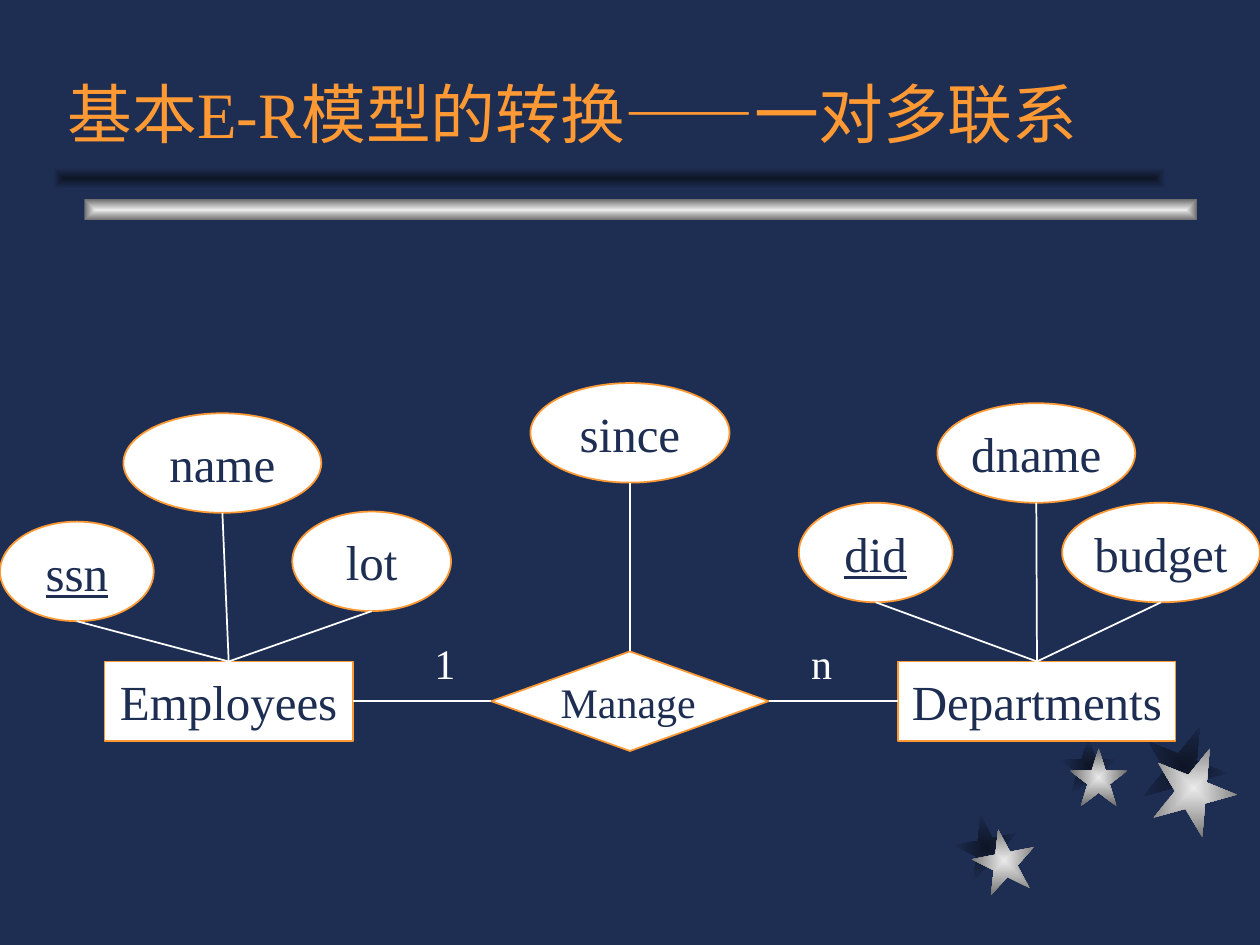
from lxml import etree
from pptx import Presentation
from pptx.dml.color import RGBColor
from pptx.enum.shapes import MSO_CONNECTOR, MSO_SHAPE
from pptx.enum.text import MSO_ANCHOR, PP_ALIGN
from pptx.oxml import parse_xml
from pptx.oxml.ns import nsdecls, qn
from pptx.util import Inches, Pt

RECT, OVAL = MSO_SHAPE.RECTANGLE, MSO_SHAPE.OVAL
DIAMOND, STAR = MSO_SHAPE.FLOWCHART_DECISION, MSO_SHAPE.STAR_5_POINT
STRAIGHT = MSO_CONNECTOR.STRAIGHT
LEFT, CENTER = PP_ALIGN.LEFT, PP_ALIGN.CENTER
MIDDLE, TOP, BOTTOM = MSO_ANCHOR.MIDDLE, MSO_ANCHOR.TOP, MSO_ANCHOR.BOTTOM
SITE_TOP, SITE_LEFT, SITE_RIGHT = 0, 1, 3

COLORS = {"navy": "1E2E53", "shade": "0E1526", "silver": "EAEAEA",
          "gray": "6C6C6C", "orange": "FF9933", "white": "FFFFFF"}
METAL, SHADOW = ("silver", "gray"), ("shade", "navy")
FONT = "Times New Roman"

# The slide is a grid of 100 columns by 75 rows
WIDTH, HEIGHT = Inches(10), Inches(7.5)
COL, ROW = WIDTH / 100, HEIGHT / 75
OVAL_H = 7.9


def color(name):
    return RGBColor.from_string(COLORS[name])


def place(box):
    x, y, w, h = box
    return round(x * COL), round(y * ROW), round(w * COL), round(h * ROW)


def write(sp, text, size, ink, align=CENTER, anchor=MIDDLE, inset=(0, 0),
          underline=False, wrap=True):
    tf = sp.text_frame
    tf.word_wrap = wrap
    tf.vertical_anchor = anchor
    tf.margin_left = tf.margin_right = Inches(inset[0])
    tf.margin_top = tf.margin_bottom = Inches(inset[1])
    p = tf.paragraphs[0]
    p.alignment = align
    r = p.add_run()
    r.text = text
    r.font.name, r.font.size = FONT, Pt(size)
    r.font.color.rgb = color(ink)
    if underline:
        r.font.underline = True
    return p


def add_node(s, kind, box, text, size=28, **style):
    sp = s.shapes.add_shape(kind, *place(box))
    sp.shadow.inherit = False
    sp.fill.solid()
    sp.fill.fore_color.rgb = color("white")
    sp.line.color.rgb = color("orange")
    sp.line.width = Pt(1)
    write(sp, text, size, "navy", **style)
    return sp


def add_glow(s, kind, box, stops, turn=0):
    """Borderless shape shaded from its centre outwards."""
    sp = s.shapes.add_shape(kind, *place(box))
    sp.shadow.inherit = False
    sp.line.fill.background()
    sp.rotation = turn
    inner, outer = (COLORS[c] for c in stops)
    grad = parse_xml(
        f'<a:gradFill {nsdecls("a")} rotWithShape="1"><a:gsLst>'
        f'<a:gs pos="0"><a:srgbClr val="{inner}"/></a:gs>'
        f'<a:gs pos="100000"><a:srgbClr val="{outer}"/></a:gs></a:gsLst>'
        '<a:path path="rect"><a:fillToRect l="50000" t="50000" r="50000" '
        'b="50000"/></a:path></a:gradFill>')
    sp._element.spPr.find(qn("a:prstGeom")).addnext(grad)


def add_link(s, start, end):
    """Line between two ends, each a (shape, site) pair or a point in EMU."""
    cx = s.shapes.add_connector(STRAIGHT, 0, 0, 0, 0)
    if isinstance(start[0], int):
        cx.begin_x, cx.begin_y = start
    else:
        cx.begin_connect(*start)
    cx.end_connect(*end)
    cx.line.color.rgb = color("white")
    cx.line.width = Pt(1)
    etree.SubElement(cx._element.spPr, qn("a:effectLst"))


def bottom_middle(sp):
    return sp.left + sp.width // 2, sp.top + sp.height


def add_stars(s, box):
    x, y = box[:2]
    # Size, turn, place of the shadow, place of the star
    stars = [(5, -11, (0, 7.2), (1.4, 8.3)),
             (4.6, 0, (8.3, 1), (9.1, 1.9)),
             (6.7, 22, (14.8, 0), (15.6, 1.7))]
    for stops, layer in ((SHADOW, 2), (METAL, 3)):
        for star in stars:
            size, turn = star[:2]
            dx, dy = star[layer]
            add_glow(s, STAR, (x + dx, y + dy, size, size), stops, turn)


def add_bars(s, box):
    x, y, w, h = box
    for stops, shift in ((METAL, 2.5), (SHADOW, 0)):
        add_glow(s, RECT, (x + shift, y + shift, w, h), stops)


def add_title(s, box, text):
    sp = s.shapes.add_textbox(*place(box))
    p = write(sp, text, 37, "orange", LEFT, BOTTOM, (0.1, 0.05))
    p.line_spacing = 0.9


def add_entity(s, box, name, attributes):
    """Entity with its attribute ovals, set off from the entity's corner."""
    x, y = box[:2]
    entity = add_node(s, RECT, box, name, inset=(0.1, 0.05))
    for text, dx, dy, w, is_key in attributes:
        oval = add_node(s, OVAL, (x + dx, y + dy, w, OVAL_H), text,
                        underline=is_key)
        add_link(s, bottom_middle(oval), (entity, SITE_TOP))
    return entity


def add_relation(s, box, name, attribute, left, right):
    x, y, w, h = box
    relation = add_node(s, DIAMOND, box, name, 24, align=LEFT)
    add_link(s, (relation, SITE_LEFT), (left, SITE_RIGHT))
    add_link(s, (relation, SITE_RIGHT), (right, SITE_LEFT))

    # Attribute centred above the relation
    oval_w = 15.8
    oval = add_node(s, OVAL, (x + (w - oval_w) / 2, y - 21.3, oval_w, OVAL_H),
                    attribute)
    add_link(s, bottom_middle(oval), (relation, SITE_TOP))

    # Cardinalities
    for text, dx in (("1", -5.5), ("n", 24.4)):
        sp = s.shapes.add_textbox(*place((x + dx, y - 1.6, 3.6, 5)))
        write(sp, text, 24, "white", LEFT, TOP, (0.1, 0.05), wrap=False)


def main():
    prs = Presentation()
    prs.slide_width, prs.slide_height = WIDTH, HEIGHT
    s = prs.slides.add_slide(prs.slide_layouts[6])
    s.background.fill.solid()
    s.background.fill.fore_color.rgb = color("navy")

    # Decoration and title
    add_stars(s, (75.8, 57.5, 22.3, 13.3))
    add_bars(s, (4.2, 13.3, 88.3, 1.7))
    add_title(s, (4.4, 2.8, 89.8, 9.8), "基本E-R模型的转换——一对多联系")

    # Entity-relationship diagram
    employees = add_entity(s, (8.3, 52.5, 19.7, 6.3), "Employees", [
        ("name", 1.5, -19.7, 15.7, False),
        ("ssn", -8.3, -11.1, 12.2, True),
        ("lot", 14.9, -11.9, 12.6, False)])
    departments = add_entity(s, (71.3, 52.5, 22, 6.3), "Departments", [
        ("did", -7.9, -12.6, 12.2, True),
        ("dname", 3.1, -20.5, 15.7, False),
        ("budget", 13, -12.6, 15.7, False)])
    add_relation(s, (39, 51.7, 22, 7.9), "Manage", "since",
                 employees, departments)
    prs.save("out.pptx")


if __name__ == "__main__":
    main()
